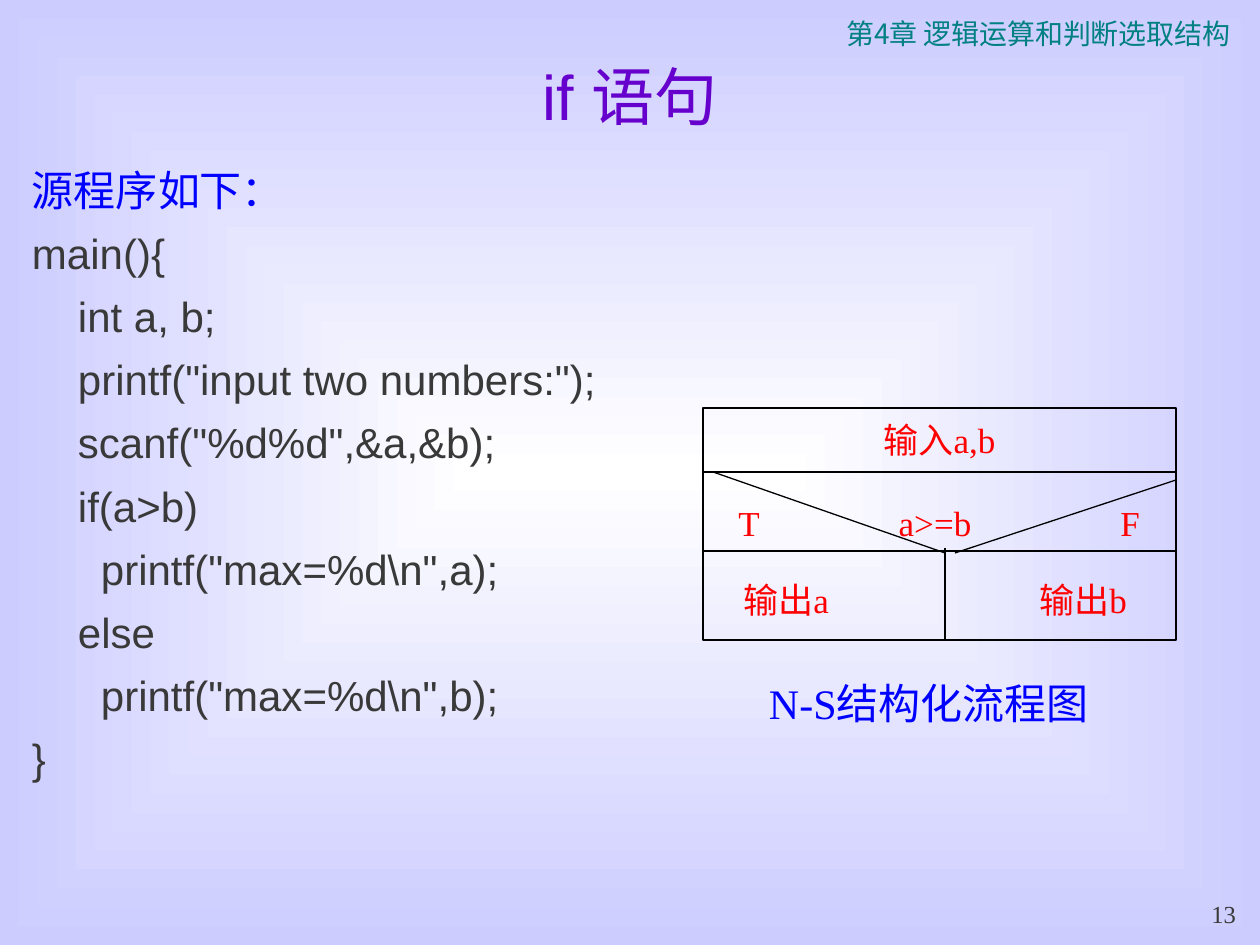
from lxml import etree
from pptx import Presentation, util as u
from pptx.dml.color import RGBColor
from pptx.enum import shapes, text
from pptx.oxml.ns import qn

EMU_PER_PX = 914400 / 126
WHITE = RGBColor(0xFF, 0xFF, 0xFF)
LAVENDER = RGBColor(0xCC, 0xCC, 0xFF)
TEAL = RGBColor(0x00, 0x80, 0x80)
PURPLE = RGBColor(0x66, 0x00, 0xCC)
BLUE = RGBColor(0x00, 0x00, 0xFF)
RED = RGBColor(0xFF, 0x00, 0x00)
GRAY = RGBColor(0x39, 0x39, 0x39)
BLACK = RGBColor(0x00, 0x00, 0x00)
SERIF, SANS = "Times New Roman", "Arial"
CJK, CJK_JP = "Noto Sans CJK SC", "Noto Sans CJK JP"
LEVEL_INDENT = 23

# Code lines with their indent level
CODE = [
    (0, "main(){"),
    (2, "int a, b;"),
    (2, 'printf("input two numbers:");'),
    (2, 'scanf("%d%d",&a,&b);'),
    (2, "if(a>b)"),
    (3, r'printf("max=%d\n",a);'),
    (2, "else"),
    (3, r'printf("max=%d\n",b);'),
    (0, "}"),
]


def px(value):
    return u.Emu(round(value * EMU_PER_PX))


def set_attributes(target, values):
    for name, value in values.items():
        setattr(target, name, value)


def write(paragraph, content, size, font, color, **paragraph_format):
    run = paragraph.add_run()
    run.text = content
    set_attributes(run.font, {"size": u.Pt(size), "name": font, "bold": False})
    run.font.color.rgb = color
    east_asian = CJK_JP if font == CJK_JP else CJK
    etree.SubElement(run.font._element, qn("a:ea"), typeface=east_asian)
    set_attributes(paragraph, paragraph_format)


def set_frame(shape, anchor, wrap=True):
    set_attributes(shape.text_frame, {
        "word_wrap": wrap, "vertical_anchor": anchor,
        "auto_size": text.MSO_AUTO_SIZE.NONE,
        "margin_left": px(13), "margin_right": px(13),
        "margin_top": px(6), "margin_bottom": px(6),
    })
    return shape.text_frame


def add_text_box(slide, box, anchor=text.MSO_ANCHOR.TOP):
    return set_frame(slide.shapes.add_textbox(*map(px, box)), anchor)


def add_outline_box(slide, box):
    shape = slide.shapes.add_shape(shapes.MSO_SHAPE.RECTANGLE, *map(px, box))
    shape.shadow.inherit = False
    shape.fill.background()
    shape.line.color.rgb = BLACK
    shape.line.width = u.Pt(0.75)
    return set_frame(shape, text.MSO_ANCHOR.MIDDLE)


def add_line(slide, *ends):
    line = slide.shapes.add_connector(shapes.MSO_CONNECTOR.STRAIGHT, *map(px, ends))
    line.line.color.rgb = BLACK
    line.line.width = u.Pt(0.75)
    etree.SubElement(line._element.spPr, qn("a:effectLst"))


def set_centre_tabs(paragraph, positions):
    properties = paragraph._p.get_or_add_pPr()
    tabs = etree.SubElement(properties, qn("a:tabLst"))
    for position in positions:
        etree.SubElement(tabs, qn("a:tab"), pos=str(px(position)), algn="ctr")


def paint_background(slide):
    """Rectangular gradient, white in the centre."""
    fill = slide.background.fill
    fill.gradient()
    for stop, color in zip(fill.gradient_stops, (WHITE, LAVENDER)):
        stop.color.rgb = color
    gradient = slide.background._cSld.find(".//" + qn("a:gradFill"))
    for stop, position in zip(gradient.iter(qn("a:gs")), (0, 100000)):
        stop.set("pos", str(position))
    linear = gradient.find(qn("a:lin"))
    shade = etree.Element(qn("a:path"), {"path": "rect"})
    etree.SubElement(shade, qn("a:fillToRect"),
                     {side: "50000" for side in "ltrb"})
    gradient.replace(linear, shade)


def add_title(slide):
    title = slide.shapes.title
    set_attributes(title, dict(zip(("left", "top", "width", "height"),
                                   map(px, (21, 53, 1218, 84)))))
    frame = set_frame(title, text.MSO_ANCHOR.MIDDLE)
    write(frame.paragraphs[0], "if 语句", 36, SANS, PURPLE,
          alignment=text.PP_ALIGN.CENTER)


def add_code(slide):
    frame = add_text_box(slide, (19, 158, 1218, 714))
    write(frame.paragraphs[0], "源程序如下：", 24, CJK, BLUE, space_before=u.Pt(6))
    for level, line in CODE:
        paragraph = frame.add_paragraph()
        write(paragraph, line, 24, SANS, GRAY, space_before=u.Pt(7.3))
        paragraph._p.get_or_add_pPr().set("marL", str(px(level * LEVEL_INDENT)))


def add_structure_chart(slide):
    left, top, width = 703, 408, 473
    condition, branches, bottom = 472, 551, 640
    right, middle = left + width, 945

    branch_frame = add_outline_box(slide, (left, condition, width, bottom - condition))
    branch_frame.margin_top = px(16)
    rows = [("\tT\ta>=b\tF", (33, 219, 414), 0),
            ("\t输出a\t输出b", (70, 367), 20)]
    for index, (content, tabs, gap) in enumerate(rows):
        paragraph = branch_frame.add_paragraph() if index else branch_frame.paragraphs[0]
        write(paragraph, content, 20, SERIF, RED,
              alignment=text.PP_ALIGN.LEFT, space_before=u.Pt(gap))
        set_centre_tabs(paragraph, tabs)

    input_frame = add_outline_box(slide, (left, top, width, condition - top))
    write(input_frame.paragraphs[0], "输入a,b", 20, SERIF, RED,
          alignment=text.PP_ALIGN.CENTER)

    add_line(slide, left, branches, right, branches)
    add_line(slide, left + 10, condition, middle, branches + 2)
    add_line(slide, right, condition + 8, middle + 10, branches + 2)
    add_line(slide, middle, branches - 3, middle, bottom)


def main():
    presentation = Presentation()
    presentation.slide_width, presentation.slide_height = px(1260), px(945)
    slide = presentation.slides.add_slide(presentation.slide_layouts[5])
    paint_background(slide)

    chapter = add_text_box(slide, (828, 10, 421, 81))
    write(chapter.paragraphs[0], "第4章 逻辑运算和判断选取结构", 16, CJK_JP, TEAL,
          alignment=text.PP_ALIGN.CENTER)
    add_title(slide)
    add_code(slide)
    add_structure_chart(slide)
    caption = add_text_box(slide, (756, 672, 388, 63))
    write(caption.paragraphs[0], "N-S结构化流程图", 24, SERIF, BLUE)
    number = add_text_box(slide, (1176, 892, 73, 42), text.MSO_ANCHOR.BOTTOM)
    write(number.paragraphs[0], "13", 14, SERIF, GRAY,
          alignment=text.PP_ALIGN.RIGHT)
    presentation.save("out.pptx")


if __name__ == "__main__":
    main()
